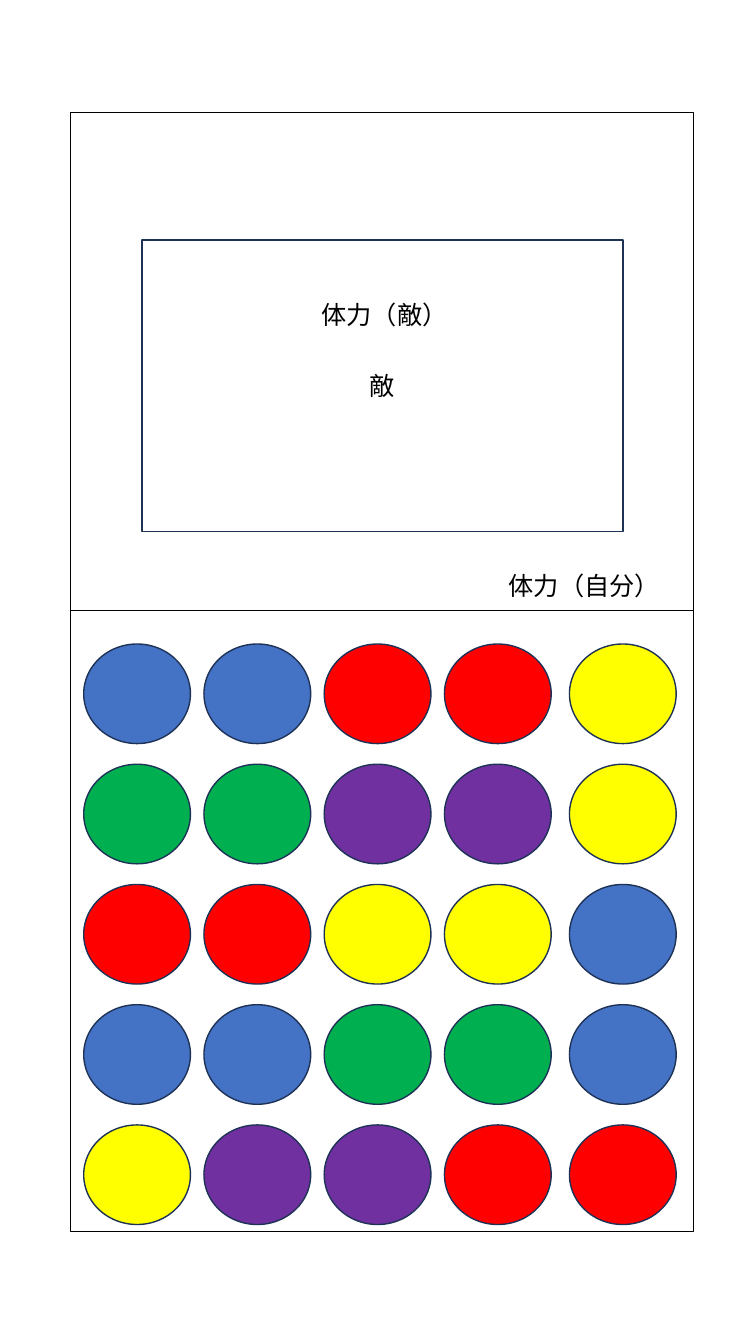
"""Build a one-slide screen sketch of a puzzle battle game."""
import pptx
import pptx.util
import pptx.dml.color
import pptx.enum.shapes
import pptx.enum.text
import lxml.etree

Cm, Pt = pptx.util.Cm, pptx.util.Pt
SHAPE = pptx.enum.shapes.MSO_SHAPE
ALIGN = pptx.enum.text.PP_ALIGN
ANCHOR = pptx.enum.text.MSO_ANCHOR

ORB_ROWS = ["BBRRY", "GGPPY", "RRYYB", "BBGGB", "YPPRR"]
ENEMY = "敵"
LABELS = [("体力（敵）", 7.85, 7.42), ("体力（自分）", 12.57, 14.25)]

THEME = {
    "font": "Calibri", "size": 18, "text": "000000", "frame": "000000",
    "edge": "1E3256", "panel": "FFFFFF",
    "orbs": {"B": "4472C4", "R": "FF0000", "Y": "FFFF00", "G": "00B050", "P": "7030A0"},
}

SLIDE = (19.05, 33.87)
FRAME = (1.78, 2.84, 15.7, 28.19)
PANEL = (3.58, 6.05, 12.12, 7.34)
LABEL_SIZE = (5.05, 1.02)
DIVIDER_Y = 15.37
ORB_SIZE = (2.69, 2.51)
ORB_LEFT, ORB_TOP, ORB_PITCH = 2.11, 16.23, 3.03
LAST_COLUMN_SHIFT = 0.12


def rgb(value):
    """Return the colour for a hex value."""
    return pptx.dml.color.RGBColor.from_string(value)


def add_outlined(s, kind, box, fill=None, line=THEME["edge"]):
    """Add a preset shape with a thin outline."""
    sp = s.shapes.add_shape(kind, *map(Cm, box))
    sp.shadow.inherit = False
    if fill:
        sp.fill.solid()
        sp.fill.fore_color.rgb = rgb(fill)
    else:
        sp.fill.background()
    sp.line.color.rgb = rgb(line)
    sp.line.width = Pt(1)
    return sp


def write_text(sp, text, align=ALIGN.LEFT, anchor=ANCHOR.TOP):
    """Write one formatted paragraph into a shape."""
    tf = sp.text_frame
    tf.word_wrap = True
    tf.vertical_anchor = anchor
    p = tf.paragraphs[0]
    p.alignment = align
    r = p.add_run()
    r.text = text
    r.font.name = THEME["font"]
    r.font.size = Pt(THEME["size"])
    r.font.color.rgb = rgb(THEME["text"])


def add_divider(s):
    """Add the line between the battle area and the orb board."""
    left, _, width, _ = FRAME
    line = s.shapes.add_connector(
        pptx.enum.shapes.MSO_CONNECTOR.STRAIGHT,
        Cm(left), Cm(DIVIDER_Y), Cm(left + width), Cm(DIVIDER_Y))
    line.line.color.rgb = rgb(THEME["frame"])
    line.line.width = Pt(0.5)
    lxml.etree.SubElement(line.element.spPr, pptx.oxml.ns.qn("a:effectLst"))


def add_orbs(s):
    """Add the grid of coloured orbs."""
    for row, orbs in enumerate(ORB_ROWS):
        for col, orb in enumerate(orbs):
            shift = LAST_COLUMN_SHIFT if col == len(orbs) - 1 else 0
            left = ORB_LEFT + col * ORB_PITCH + shift
            top = ORB_TOP + row * ORB_PITCH
            add_outlined(s, SHAPE.OVAL, (left, top, *ORB_SIZE), fill=THEME["orbs"][orb])


def main():
    """Build and save the slide."""
    prs = pptx.Presentation()
    prs.slide_width, prs.slide_height = map(Cm, SLIDE)
    s = prs.slides.add_slide(prs.slide_layouts[6])
    add_outlined(s, SHAPE.RECTANGLE, FRAME, line=THEME["frame"])
    add_orbs(s)
    add_divider(s)
    panel = add_outlined(s, SHAPE.RECTANGLE, PANEL, fill=THEME["panel"])
    write_text(panel, ENEMY, align=ALIGN.CENTER, anchor=ANCHOR.MIDDLE)
    for text, left, top in LABELS:
        write_text(s.shapes.add_textbox(*map(Cm, (left, top, *LABEL_SIZE))), text)
    prs.save("out.pptx")


if __name__ == "__main__":
    main()
